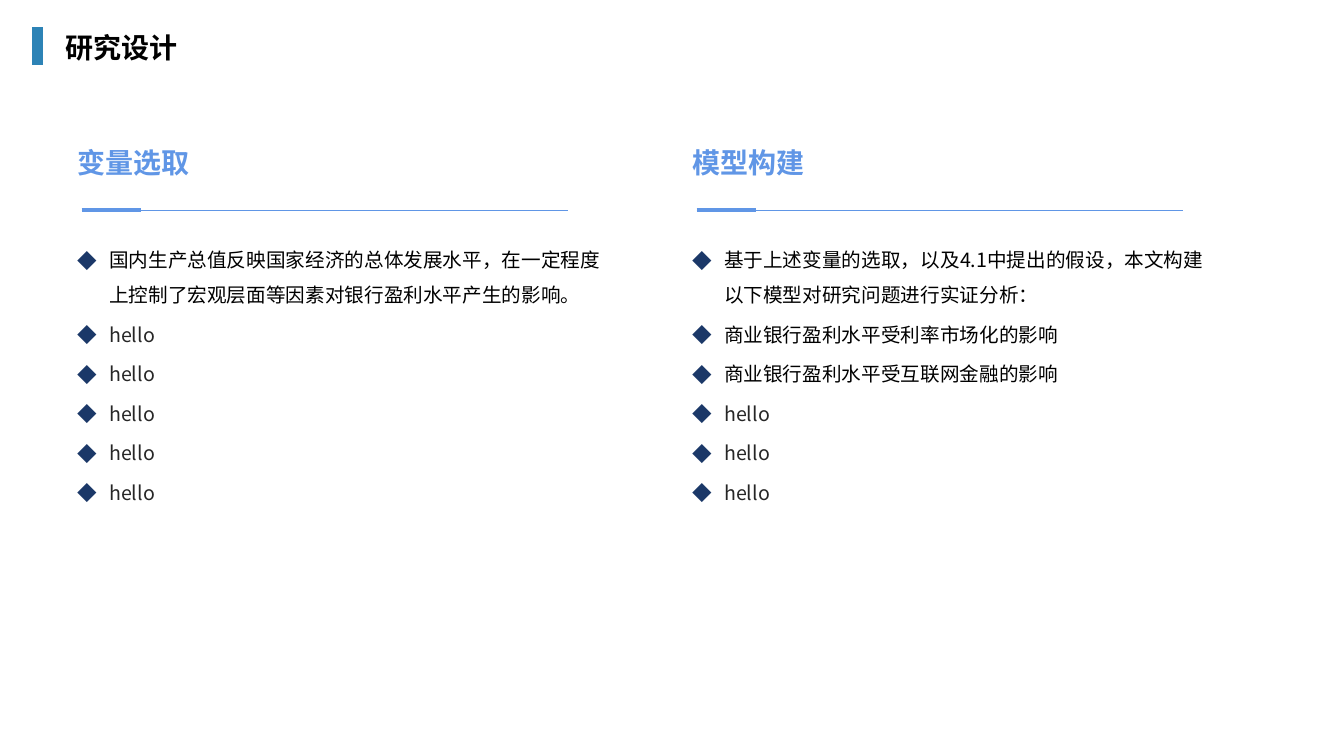
"""Build the research design slide: two headed columns of bullets."""
from lxml.etree import SubElement
from pptx import Presentation
from pptx.dml.color import RGBColor
from pptx.enum.shapes import MSO_CONNECTOR as Conn
from pptx.enum.text import MSO_ANCHOR as Anchor, MSO_AUTO_SIZE as Fit, PP_ALIGN as Align
from pptx.oxml.ns import qn
from pptx.util import Pt

FONT = "Noto Sans CJK SC"
HEX = {"title": "000000", "body": "000000", "soft": "262626",
       "head": "6096E6", "mark": "1B3868", "bar": "2D83B6"}
HELLO = ("hello", "soft")
COLS = [
    ("变量选取", [
        ("国内生产总值反映国家经济的总体发展水平，在一定程度上控制了宏观层面等因素对银行盈利水平产生的影响。", "body"),
        *[HELLO] * 5]),
    ("模型构建", [
        ("基于上述变量的选取，以及4.1中提出的假设，本文构建以下模型对研究问题进行实证分析：", "body"),
        ("商业银行盈利水平受利率市场化的影响", "body"),
        ("商业银行盈利水平受互联网金融的影响", "body"),
        *[HELLO] * 3]),
]
BIG = {"size": Pt(20), "bold": True, "name": FONT}
SMALL = {"size": Pt(14), "bold": False, "name": FONT}
LIST = {"line_spacing": 1.5, "space_before": Pt(0), "space_after": Pt(3)}
PLAIN = {"alignment": Align.LEFT, "space_before": Pt(0)}


def fill(box, area, rows, look, para):
    """Place a placeholder and write its rows, returning the paragraphs."""
    box.left, box.top, box.width, box.height = map(Pt, area)
    frame = box.text_frame
    frame.word_wrap = True
    frame.auto_size = Fit.SHAPE_TO_FIT_TEXT
    frame.vertical_anchor = Anchor.TOP
    frame.text = "\n".join(text for text, _ in rows)
    for item, (_, tone) in zip(frame.paragraphs, rows):
        for key, val in para.items():
            setattr(item, key, val)
        font = item.runs[0].font
        for key, val in look.items():
            setattr(font, key, val)
        font.color.rgb = RGBColor.from_string(HEX[tone])
        SubElement(item.runs[0]._r.rPr, qn("a:ea"), typeface=FONT)
    return frame.paragraphs


def rule(x1, y1, x2, y2, tone, width):
    """Draw a straight line without a shadow."""
    line = slide.shapes.add_connector(Conn.STRAIGHT, *map(Pt, (x1, y1, x2, y2)))
    line.line.color.rgb = RGBColor.from_string(HEX[tone])
    line.line.width = Pt(width)
    SubElement(line._element.spPr, qn("a:effectLst"))


deck = Presentation()
deck.slide_width, deck.slide_height = Pt(960), Pt(540)
slide = deck.slides.add_slide(deck.slide_layouts[4])
title, *boxes = slide.placeholders

fill(title, (39.6, 18, 894, 31.5), [("研究设计", "title")], BIG, PLAIN)
rule(26.75, 19.4, 26.75, 46.2, "bar", 7.25)

for num, (head, rows) in enumerate(COLS):
    left = 48.24 + num * 439.3
    top, body = boxes[2 * num:2 * num + 2]
    fill(top, (left, 100, 255.5, 36), [(head, "head")], BIG, PLAIN)
    for size, width in ((347.3, 1), (42.5, 3)):
        rule(left + 10.1, 150.2, left + 10.1 + size, 150.2, "head", width)
    for item in fill(body, (left, 165, 391, 175), rows, SMALL, LIST):
        props = item._p.get_or_add_pPr()
        props.set("marL", str(Pt(22.5)))
        props.set("indent", str(-Pt(22.5)))
        tint = SubElement(props, qn("a:buClr"))
        SubElement(tint, qn("a:srgbClr"), val=HEX["mark"])
        SubElement(props, qn("a:buFont"), typeface=FONT)
        SubElement(props, qn("a:buChar"), char="◆")

deck.save("out.pptx")
